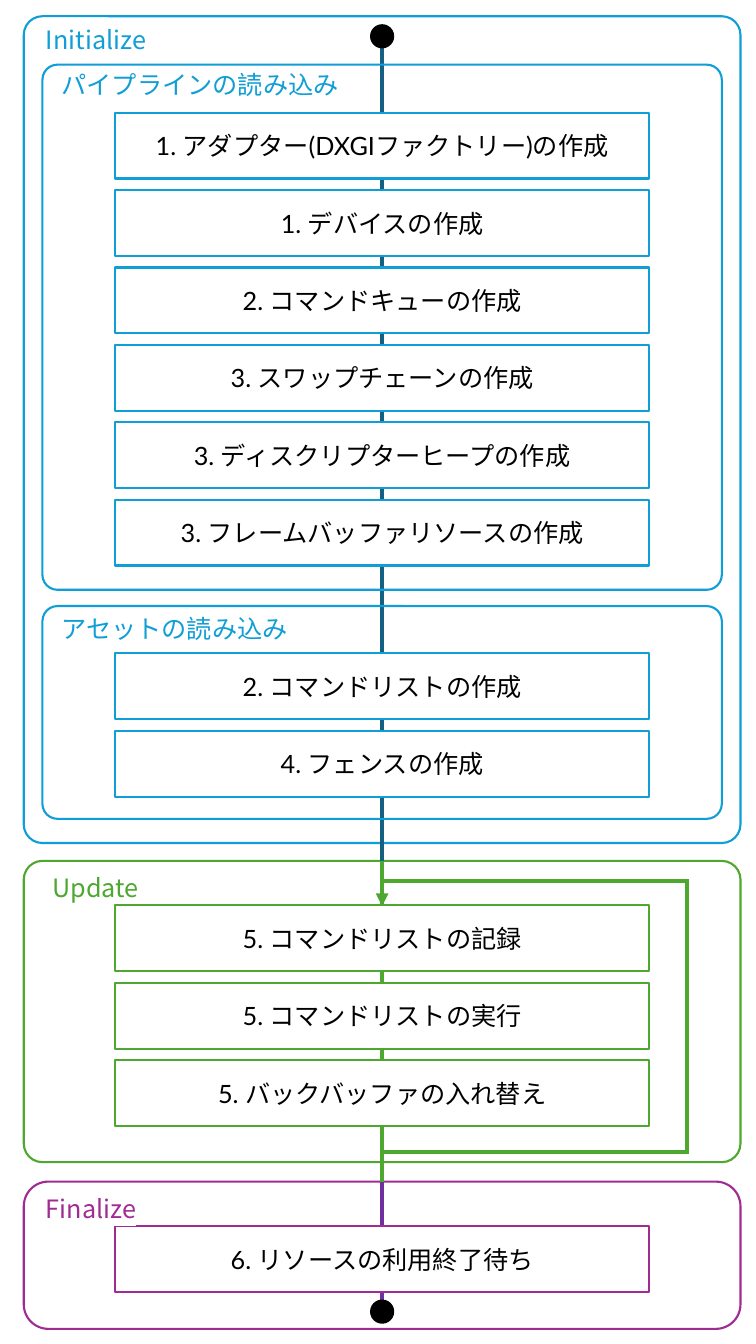
from pptx import Presentation
from pptx.dml.color import RGBColor
from pptx.enum import shapes, text
from pptx.oxml.ns import qn
from pptx.util import Cm, Pt
from lxml import etree

# Content: lengths in cm
PHASES = [
    dict(name="Initialize", label=(0.91, 0.48, 4.4), top=0.41, height=20.83, radius=0.47,
         color="blue", trunk=("navy", 1.22, 21.69)),
    dict(name="Update", label=(1.07, 21.84, 9.53), top=21.69, height=7.59, radius=0.47,
         color="green", trunk=("green", 21.69, 29.77)),
    dict(name="Finalize", label=(0.91, 29.95, 3.86), top=29.77, height=3.71, radius=0.62,
         color="magenta", trunk=("purple", 29.77, 32.74)),
]
GROUPS = [
    dict(name="パイプラインの読み込み", label=(1.3, 1.63, 9.53), top=1.63, height=13.23),
    dict(name="アセットの読み込み", label=(1.3, 15.32, 9.53), top=15.27, height=5.36),
]
STEPS = [  # colour, top of the first box, box texts
    ("blue", 2.84, ["1. アダプター(DXGIファクトリー)の作成", "1. デバイスの作成",
                    "2. コマンドキューの作成", "3. スワップチェーンの作成",
                    "3. ディスクリプターヒープの作成", "3. フレームバッファリソースの作成"]),
    ("blue", 16.46, ["2. コマンドリストの作成", "4. フェンスの作成"]),
    ("green", 22.81, ["5. コマンドリストの記録", "5. コマンドリストの実行",
                      "5. バックバッファの入れ替え"]),
    ("magenta", 30.89, ["6. リソースの利用終了待ち"]),
]
TERMINALS = [0.61, 32.74]
LOOP = dict(start=28.4, bottom=29.03, right=17.32, top=22.2, end=22.83)

THEME = dict(
    blue="0F9ED5", navy="156082", green="4EA72E", magenta="A02B93", purple="7030A0",
    black="000000", white="FFFFFF",
    size=18, outline=1.5, trunk=3, latin="Lato", japanese="Noto Sans CJK JP",
)

# Layout
WIDTH, HEIGHT = 19.05, 33.86
CENTER = 9.63
PHASE_W, GROUP_W, STEP_W = 18.06, 17.12, 13.46
STEP_H, STEP_PITCH = 1.66, 1.95
DOT, LABEL_H = 0.61, 1.03

prs = Presentation()
prs.slide_width, prs.slide_height = Cm(WIDTH), Cm(HEIGHT)
s = prs.slides.add_slide(prs.slide_layouts[6])


def rgb(name):
    return RGBColor.from_string(THEME[name])


def add_box(kind, top, width, height, fill=None, line=None, radius=None):
    """Add a shape centred on the trunk."""
    sp = s.shapes.add_shape(kind, Cm(CENTER - width / 2), Cm(top), Cm(width), Cm(height))
    sp.shadow.inherit = False
    if fill:
        sp.fill.solid()
        sp.fill.fore_color.rgb = rgb(fill)
    else:
        sp.fill.background()
    if line:
        sp.line.color.rgb = rgb(line)
        sp.line.width = Pt(THEME["outline"])
    else:
        sp.line.fill.background()
    if radius:
        sp.adjustments[0] = radius / min(width, height)
    return sp


def add_text(p, content, color, font, highlight=None):
    r = p.add_run()
    r.text = content
    r.font.size = Pt(THEME["size"])
    r.font.color.rgb = rgb(color)
    rPr = r.font._element
    if highlight:
        mark = etree.SubElement(rPr, qn("a:highlight"))
        etree.SubElement(mark, qn("a:srgbClr"), val=THEME[highlight])
    r.font.name = THEME[font]
    etree.SubElement(rPr, qn("a:ea"), typeface=THEME["japanese"])


def add_label(content, place, color):
    left, top, width = place
    tf = s.shapes.add_textbox(Cm(left), Cm(top), Cm(width), Cm(LABEL_H)).text_frame
    tf.word_wrap = True
    add_text(tf.paragraphs[0], content, color, "japanese", highlight="white")


def add_trunk(color, start, end):
    cn = s.shapes.add_connector(shapes.MSO_CONNECTOR.STRAIGHT,
                                Cm(CENTER), Cm(start), Cm(CENTER), Cm(end))
    cn.line.color.rgb = rgb(color)
    cn.line.width = Pt(THEME["trunk"])
    etree.SubElement(cn._element.spPr, qn("a:effectLst"))


def add_loop(start, bottom, right, top, end):
    corners = [(CENTER, bottom), (right, bottom), (right, top), (CENTER, top), (CENTER, end)]
    fb = s.shapes.build_freeform(Cm(CENTER), Cm(start))
    fb.add_line_segments([(Cm(x), Cm(y)) for x, y in corners], close=False)
    sp = fb.convert_to_shape()
    sp.shadow.inherit = False
    sp.fill.background()
    sp.line.color.rgb = rgb("green")
    sp.line.width = Pt(THEME["trunk"])
    ln = sp.line._get_or_add_ln()
    etree.SubElement(ln, qn("a:miter"), lim="800000")
    etree.SubElement(ln, qn("a:tailEnd"), type="triangle")


# Phase panels, then the trunk running through them
for phase in PHASES:
    add_box(shapes.MSO_SHAPE.ROUNDED_RECTANGLE, phase["top"], PHASE_W, phase["height"],
            "white", phase["color"], phase["radius"])
for phase in PHASES:
    add_trunk(*phase["trunk"])
add_loop(**LOOP)

# Groups inside the first phase
for group in GROUPS:
    add_box(shapes.MSO_SHAPE.ROUNDED_RECTANGLE, group["top"], GROUP_W, group["height"],
            line="blue", radius=0.38)

# Step boxes
for color, first_top, names in STEPS:
    for i, name in enumerate(names):
        sp = add_box(shapes.MSO_SHAPE.RECTANGLE, first_top + i * STEP_PITCH,
                     STEP_W, STEP_H, "white", color)
        tf = sp.text_frame
        tf.word_wrap = True
        tf.vertical_anchor = text.MSO_ANCHOR.MIDDLE
        p = tf.paragraphs[0]
        p.alignment = text.PP_ALIGN.CENTER
        add_text(p, name, "black", "latin")

# Labels and the start and end dots
for group in GROUPS:
    add_label(group["name"], group["label"], "blue")
for phase in PHASES:
    add_label(phase["name"], phase["label"], phase["color"])
for top in TERMINALS:
    add_box(shapes.MSO_SHAPE.OVAL, top, DOT, DOT, "black")

prs.save("out.pptx")
